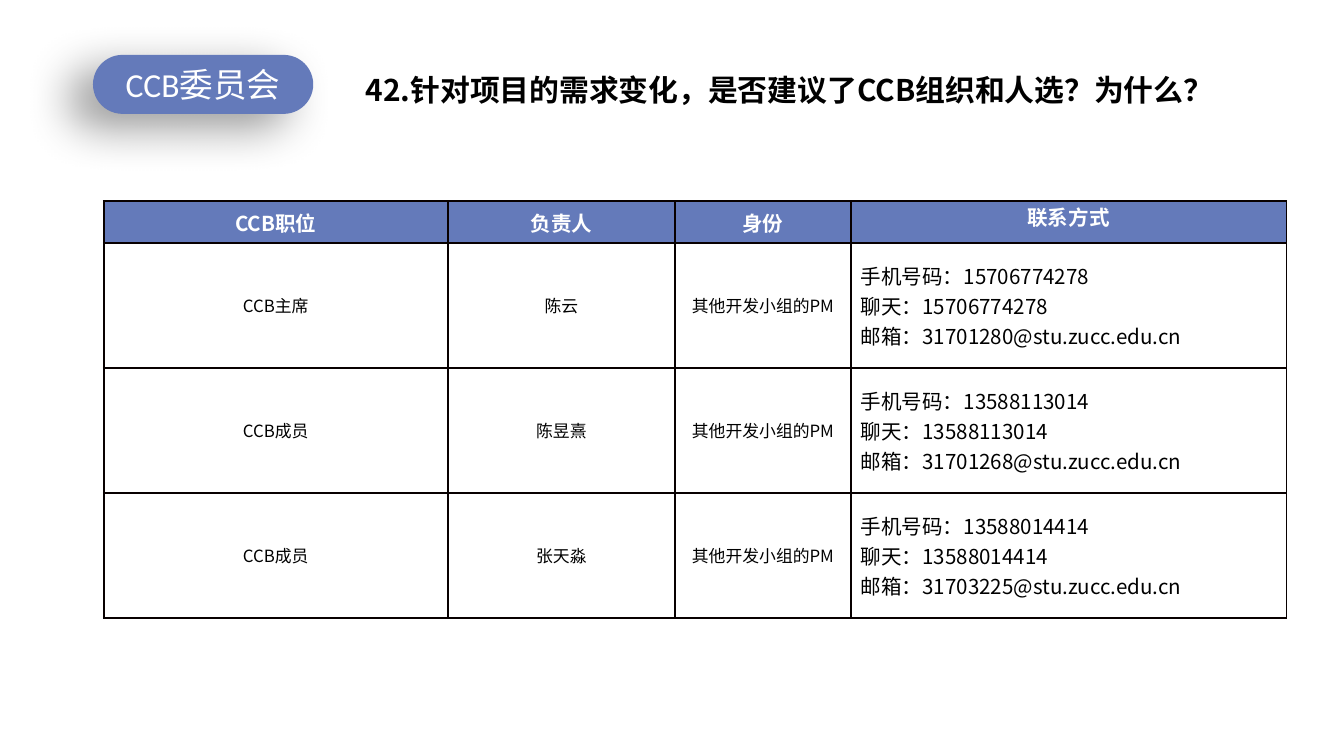
from lxml.etree import SubElement
from pptx import Presentation
from pptx.dml.color import RGBColor
from pptx.enum.shapes import MSO_SHAPE
from pptx.enum.text import MSO_ANCHOR, PP_ALIGN
from pptx.oxml import parse_xml
from pptx.oxml.ns import nsdecls, qn
from pptx.util import Pt

BLUE, WHITE, BLACK, EDGE = "647ABA", "FFFFFF", "000000", "080000"
SANS = "Noto Sans CJK SC"
HEADS = ["CCB职位", "负责人", "身份", "联系方式"]
ROLE = "其他开发小组的PM"
STAFF = [
    ("CCB主席", "陈云", "15706774278", "31701280"),
    ("CCB成员", "陈昱熹", "13588113014", "31701268"),
    ("CCB成员", "张天淼", "13588014414", "31703225"),
]
COLS = [184.3, 121.7, 94.3, 233.3]
ROWS = [22.3, 67, 67, 67]


def paint(fill, color):
    fill.solid()
    fill.fore_color.rgb = RGBColor.from_string(color)


def write(frame, lines, size, color=BLACK, bold=False, name=SANS, align=PP_ALIGN.CENTER):
    frame.text = "\n".join(lines)
    for para in frame.paragraphs:
        para.alignment = align
        font = para.font
        font.size, font.bold, font.name = Pt(size), bold, name
        font.color.rgb = RGBColor.from_string(color)
        # East Asian letters need their own typeface entry
        props = para._p.pPr.find(qn("a:defRPr"))
        SubElement(props, qn("a:ea")).set("typeface", name)


def add_badge(slide):
    badge = slide.shapes.add_shape(
        MSO_SHAPE.ROUNDED_RECTANGLE, Pt(49.8), Pt(29.4), Pt(118), Pt(31.6))
    badge.adjustments[0] = 0.5
    paint(badge.fill, BLUE)
    badge.line.fill.background()
    frame = badge.text_frame
    frame.vertical_anchor = MSO_ANCHOR.MIDDLE
    write(frame, ["CCB委员会"], 18, WHITE, name="Calibri")
    # Soft shadow down to the left
    badge._element.spPr.append(parse_xml(
        f'<a:effectLst {nsdecls("a")}><a:outerShdw blurRad="{Pt(25)}" dist="{Pt(15)}" '
        f'dir="{150 * 60000}" algn="ctr" rotWithShape="0"><a:srgbClr val="{BLACK}">'
        '<a:alpha val="40000"/></a:srgbClr></a:outerShdw></a:effectLst>'))


def add_title(slide):
    box = slide.shapes.add_textbox(Pt(167.8), Pt(34.6), Pt(548.6), Pt(26.6))
    frame = box.text_frame
    frame.word_wrap = True
    write(frame, ["42.针对项目的需求变化，是否建议了CCB组织和人选？为什么？"],
          16, bold=True, align=PP_ALIGN.LEFT)
    props = frame.paragraphs[0]._p.pPr
    props.set("marL", "0")
    props.set("indent", str(Pt(21)))


def set_edges(cell):
    props = cell._tc.get_or_add_tcPr()
    for spot, side in enumerate(("lnL", "lnR", "lnT", "lnB")):
        props.insert(spot, parse_xml(
            f'<a:{side} {nsdecls("a")} w="{Pt(1)}"><a:solidFill>'
            f'<a:srgbClr val="{EDGE}"/></a:solidFill></a:{side}>'))


def fill_cell(cell, lines, fill, **style):
    cell.margin_left = cell.margin_right = Pt(5.2)
    cell.margin_top = cell.margin_bottom = 0
    cell.vertical_anchor = MSO_ANCHOR.MIDDLE
    paint(cell.fill, fill)
    set_edges(cell)
    write(cell.text_frame, lines, **style)


def add_grid(slide):
    table = slide.shapes.add_table(
        len(ROWS), len(COLS), Pt(55.6), Pt(107.8), Pt(sum(COLS)), Pt(sum(ROWS))).table
    for col, width in zip(table.columns, COLS):
        col.width = Pt(width)
    for row, height in zip(table.rows, ROWS):
        row.height = Pt(height)

    # Header row
    for c, head in enumerate(HEADS):
        fill_cell(table.cell(0, c), [head], BLUE, size=11, color=WHITE, bold=True)
    table.cell(0, 3).vertical_anchor = MSO_ANCHOR.TOP

    # One row per member
    for r, (post, name, phone, mail) in enumerate(STAFF, 1):
        for c, text in enumerate((post, name, ROLE)):
            fill_cell(table.cell(r, c), [text], WHITE, size=9)
        lines = [f"手机号码：{phone}", f"聊天：{phone}", f"邮箱：{mail}@stu.zucc.edu.cn"]
        fill_cell(table.cell(r, 3), lines, WHITE, size=11, align=PP_ALIGN.LEFT)


def main():
    deck = Presentation()
    deck.slide_width, deck.slide_height = Pt(720), Pt(405)
    slide = deck.slides.add_slide(deck.slide_layouts[6])
    add_badge(slide)
    add_title(slide)
    add_grid(slide)
    deck.save("out.pptx")


if __name__ == "__main__":
    main()
